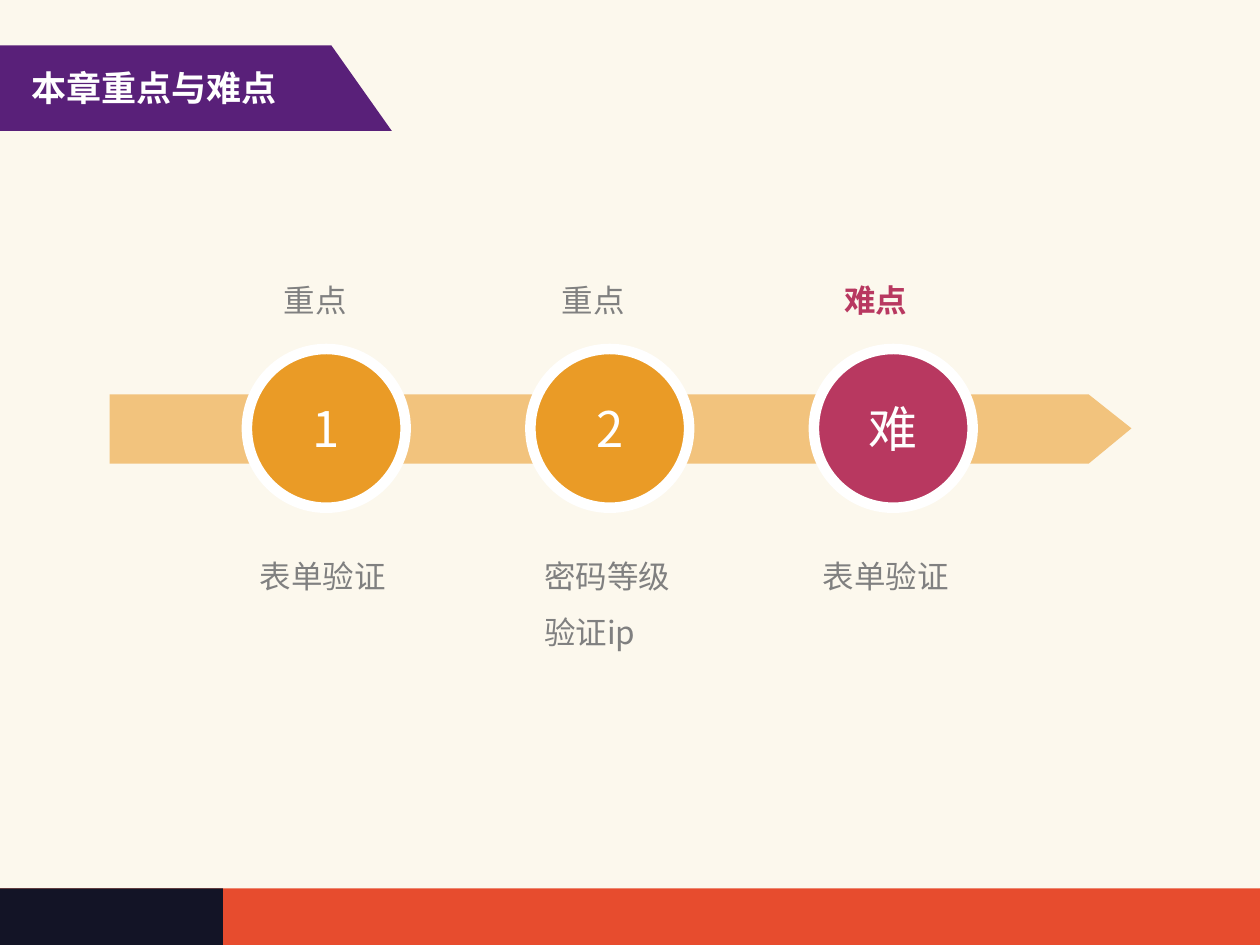
import dataclasses

import pptx
import pptx.dml.color
import pptx.enum.shapes
import pptx.enum.text
import pptx.oxml.ns
import pptx.util

WIDTH, HEIGHT = 10, 7.5
FIRST_COLUMN, COLUMN_PITCH = 1.96, 2.25
CIRCLE_TOP, CIRCLE_SIZE = 2.77, 1.26
NUMBER_WIDTH, NUMBER_HEIGHT = 0.89, 0.57
KIND_TOP, TOPIC_TOP = 2.18, 4.22
FOOTER_HEIGHT = 0.46
ALIGN = pptx.enum.text.PP_ALIGN
ANCHOR = pptx.enum.text.MSO_ANCHOR
PRESET = pptx.enum.shapes.MSO_SHAPE


@dataclasses.dataclass(frozen=True)
class Theme:
    """Colours, type sizes and font of the slide."""
    paper: str = "FCF8ED"
    white: str = "FFFFFF"
    footer: str = "E74C2E"
    footer_dark: str = "131426"
    ribbon: str = "592079"
    arrow: str = "F2C37D"
    key: str = "EA9B26"
    hard: str = "B83860"
    grey: str = "808080"
    title_size: int = 20
    number_size: int = 28
    label_size: int = 18
    font: str = "Noto Sans CJK SC"


THEME = Theme()


@dataclasses.dataclass(frozen=True)
class Step:
    """One circle on the arrow; label offsets count from its column."""
    mark: str
    kind: str
    topics: tuple
    kind_offset: float
    topic_offset: float
    topic_width: float = 1.11
    topic_height: float = 0.45
    hard: bool = False


STEPS = (
    Step("1", "重点", ("表单验证",), 0.24, 0.05),
    Step("2", "重点", ("密码等级", "验证ip"), 0.20, 0.06, 1.18, 0.97),
    Step("难", "难点", ("表单验证",), 0.19, 0.02, hard=True),
)


def inches(*lengths):
    """Convert lengths to slide units."""
    return [pptx.util.Inches(length) for length in lengths]


def rgb(colour):
    """Turn a hex string into a colour."""
    return pptx.dml.color.RGBColor.from_string(colour)


def paint(shape, fill, outline=None, outline_width=0):
    """Give a shape a flat fill and an optional outline."""
    shape.shadow.inherit = False
    shape.fill.solid()
    shape.fill.fore_color.rgb = rgb(fill)
    if outline:
        shape.line.color.rgb = rgb(outline)
        shape.line.width = pptx.util.Pt(outline_width)
    else:
        shape.line.fill.background()
    return shape


def write(shape, *lines, size, colour, bold=False, align=ALIGN.LEFT,
          anchor=ANCHOR.TOP, wrap=True, spacing=None):
    """Write one paragraph per line with a shared format."""
    frame = shape.text_frame
    frame.auto_size = pptx.enum.text.MSO_AUTO_SIZE.NONE
    frame.word_wrap = wrap
    frame.vertical_anchor = anchor
    frame.margin_left, frame.margin_top, frame.margin_right, frame.margin_bottom = inches(*[0.05] * 4)
    frame.text = "\n".join(lines)
    for paragraph in frame.paragraphs:
        paragraph.alignment = align
        paragraph.line_spacing = spacing
        for run in paragraph.runs:
            run.font.size = pptx.util.Pt(size)
            run.font.bold = bold
            run.font.name = THEME.font
            run.font.color.rgb = rgb(colour)
            east_asian = run.font._element.makeelement(
                pptx.oxml.ns.qn("a:ea"), {"typeface": THEME.font})
            run.font._element.find(pptx.oxml.ns.qn("a:latin")).addnext(east_asian)


def add_text(shapes, box, *lines, **text_format):
    """Add a text box at left, top, width, height."""
    write(shapes.add_textbox(*inches(*box)), *lines, **text_format)


def add_polygon(shapes, points, fill):
    """Add a closed flat outline through the points."""
    start, *others = [inches(*point) for point in points]
    builder = shapes.build_freeform(*start)
    builder.add_line_segments(others, close=True)
    return paint(builder.convert_to_shape(), fill)


def add_footer(shapes):
    """Add the two-coloured band along the bottom edge."""
    for width, fill in ((WIDTH, THEME.footer), (1.77, THEME.footer_dark)):
        band = shapes.add_shape(PRESET.RECTANGLE, *inches(
            0, HEIGHT - FOOTER_HEIGHT + 0.01, width, FOOTER_HEIGHT))
        paint(band, fill)


def add_title(slide, title_text):
    """Add the ribbon with the title placeholder on top of it."""
    ribbon = add_polygon(slide.shapes, (
        (0, 0.36), (2.63, 0.36), (3.11, 1.04), (0, 1.04)), THEME.ribbon)
    title = slide.shapes.title
    title.left, title.top, title.width, title.height = inches(0.2, 0.48, 2.59, 0.49)
    write(title, title_text, size=THEME.title_size, colour=THEME.white, bold=True)
    ribbon.element.addnext(title.element)


def add_step(shapes, column, step):
    """Add a marked circle with its labels above and below."""
    left = FIRST_COLUMN + column * COLUMN_PITCH
    group = shapes.add_group_shape()
    circle = group.shapes.add_shape(PRESET.OVAL, *inches(
        left, CIRCLE_TOP, CIRCLE_SIZE, CIRCLE_SIZE))
    paint(circle, THEME.hard if step.hard else THEME.key, THEME.white, 6)
    number_box = (left + (CIRCLE_SIZE - NUMBER_WIDTH) / 2,
                  CIRCLE_TOP + (CIRCLE_SIZE - NUMBER_HEIGHT) / 2,
                  NUMBER_WIDTH, NUMBER_HEIGHT)
    add_text(group.shapes, number_box, step.mark, size=THEME.number_size,
             colour=THEME.white, align=ALIGN.CENTER, anchor=ANCHOR.MIDDLE)
    add_text(shapes, (left + step.kind_offset, KIND_TOP, 0.61, 0.45), step.kind,
             size=THEME.label_size, bold=step.hard, wrap=False,
             colour=THEME.hard if step.hard else THEME.grey)
    add_text(shapes, (left + step.topic_offset, TOPIC_TOP, step.topic_width, step.topic_height),
             *step.topics, size=THEME.label_size, colour=THEME.grey, wrap=False, spacing=1.5)


def main():
    """Build and save the slide."""
    presentation = pptx.Presentation()
    presentation.slide_width, presentation.slide_height = inches(WIDTH, HEIGHT)
    slide = presentation.slides.add_slide(presentation.slide_layouts.get_by_name("Title Only"))
    slide.background.fill.solid()
    slide.background.fill.fore_color.rgb = rgb(THEME.paper)
    add_footer(slide.shapes)
    add_title(slide, "本章重点与难点")
    add_polygon(slide.shapes, (
        (0.87, 3.13), (8.64, 3.13), (8.98, 3.4), (8.64, 3.68), (0.87, 3.68)), THEME.arrow)
    for column, step in enumerate(STEPS):
        add_step(slide.shapes, column, step)
    presentation.save("out.pptx")


main()
